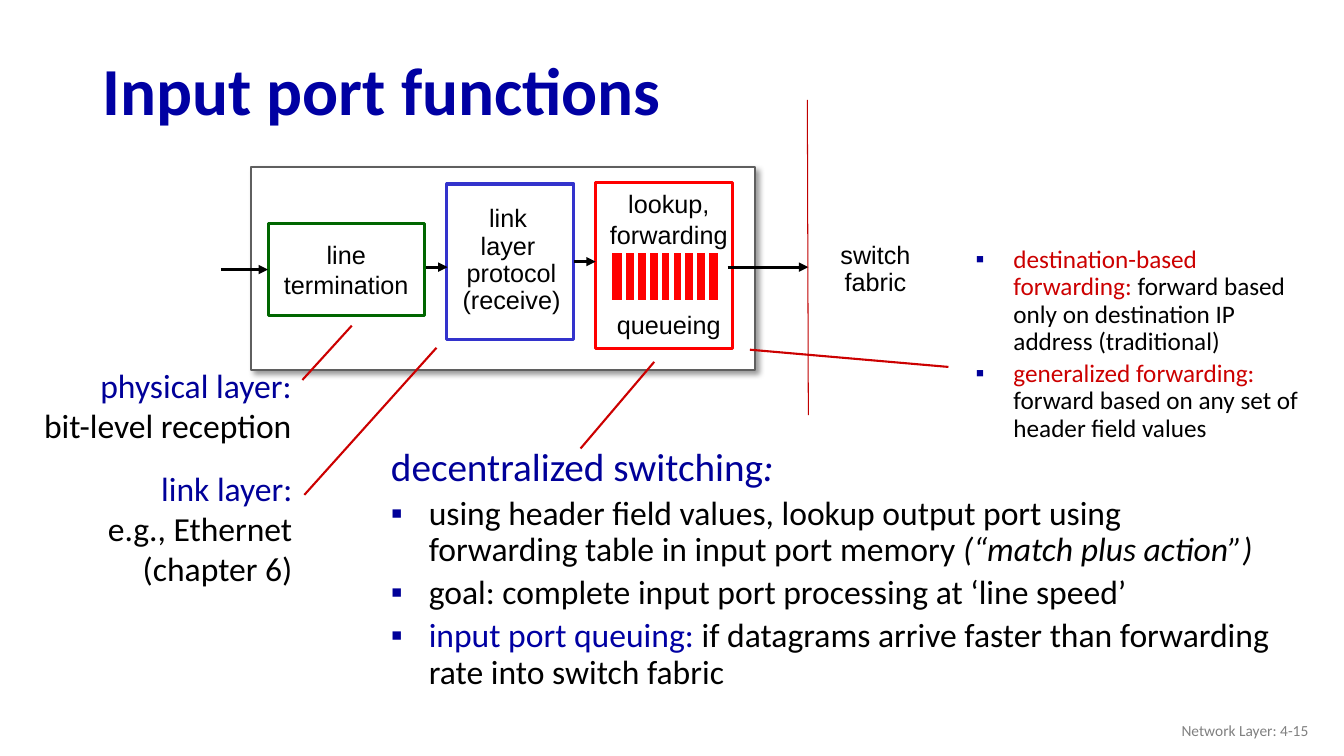
import pptx
import pptx.util
import pptx.dml.color
import pptx.enum.shapes
import pptx.enum.text
import pptx.oxml.ns
from lxml import etree

Pt = pptx.util.Pt
RGBColor = pptx.dml.color.RGBColor
Align = pptx.enum.text.PP_ALIGN
Anchor = pptx.enum.text.MSO_ANCHOR
qn = pptx.oxml.ns.qn

BLACK = RGBColor(0x00, 0x00, 0x00)
WHITE = RGBColor(0xFF, 0xFF, 0xFF)
GREY = RGBColor(0x80, 0x80, 0x80)
FRAME_GREY = RGBColor(0x5F, 0x5F, 0x5F)
TITLE_BLUE = RGBColor(0x00, 0x00, 0xA3)
NAVY = RGBColor(0x00, 0x00, 0x99)
LINK_BLUE = RGBColor(0x33, 0x33, 0xCC)
GREEN = RGBColor(0x00, 0x66, 0x00)
RED = RGBColor(0xFF, 0x00, 0x00)
CRIMSON = RGBColor(0xCC, 0x00, 0x00)
DIVIDER_RED = RGBColor(0xC0, 0x00, 0x00)

# Content: a paragraph is a list of (text, colour, italic) runs
TITLE = [[("Input port functions", TITLE_BLUE, False)]]
FOOTER = [[("Network Layer: 4-15", GREY, False)]]
PHYSICAL = [[("physical layer:", NAVY, False)], [("bit-level reception", BLACK, False)]]
LINK = [[("link layer:", NAVY, False)], [("e.g., Ethernet", BLACK, False)],
        [("(chapter 6)", BLACK, False)]]
SWITCHING_HEAD = [("decentralized switching", NAVY, False), (":", NAVY, True)]
SWITCHING = [
    [("using header field values, lookup output port using forwarding table in "
      "input port memory ", BLACK, False), ("(“match plus action”)", BLACK, True)],
    [("goal: complete input port processing at ‘line speed’", BLACK, False)],
    [("input port queuing: ", TITLE_BLUE, False),
     ("if datagrams arrive faster than forwarding rate into switch fabric", BLACK, False)],
]
FORWARDING = [
    [("destination-based forwarding: ", CRIMSON, False),
     ("forward based only on destination IP address (traditional)", BLACK, False)],
    [("generalized forwarding: ", CRIMSON, False),
     ("forward based on any set of header field values", BLACK, False)],
]
# Diagram labels: lines, left, top, width, height, line spacing, anchor
LABELS = [
    (["switch", "fabric"], 583.9, 159.8, 82.8, 65.5, 0.9, Anchor.MIDDLE),
    (["line", "termination"], 191.5, 159.8, 111.6, 65.5, 1.0, Anchor.MIDDLE),
    (["link ", "layer ", "protocol", "(receive)"], 310.4, 143.4, 110, 85.5, 0.9,
     Anchor.MIDDLE),
    (["lookup,", "forwarding"], 423.4, 129.6, 108.6, 51, 1.05, Anchor.TOP),
    (["queueing"], 428.4, 217.4, 98.6, 29, 1.0, Anchor.TOP),
]
# Leader lines from notes to the diagram: x1, y1, x2, y2
LEADERS = [(216, 271.4, 251.3, 232.6), (217.4, 353.5, 311.8, 248.4),
           (414.7, 320.4, 467.3, 258.5), (535.7, 249.8, 677.5, 262.1)]
QUEUE_LEFT, QUEUE_TOP, QUEUE_WIDTH, QUEUE_HEIGHT = 435.6, 179.3, 78.5, 36.7
SLOT_COUNT, FIRST_GAP, SLOT_STEP = 9, 10.4, 8.4

deck = pptx.Presentation()
deck.slide_width, deck.slide_height = Pt(960), Pt(540)
page = deck.slides.add_slide(deck.slide_layouts[6])


def add_box(left, top, width, height, line_color, line_width, fill=None):
    box = page.shapes.add_shape(pptx.enum.shapes.MSO_SHAPE.RECTANGLE,
                                Pt(left), Pt(top), Pt(width), Pt(height))
    box.shadow.inherit = False
    if fill is None:
        box.fill.background()
    else:
        box.fill.solid()
        box.fill.fore_color.rgb = fill
    box.line.color.rgb = line_color
    box.line.width = Pt(line_width)
    return box


def add_line(x1, y1, x2, y2, color, width, arrow=False):
    line = page.shapes.add_connector(pptx.enum.shapes.MSO_CONNECTOR.STRAIGHT,
                                     Pt(x1), Pt(y1), Pt(x2), Pt(y2))
    line.line.color.rgb = color
    line.line.width = Pt(width)
    if arrow:
        etree.SubElement(line.line._get_or_add_ln(), qn("a:tailEnd"), type="triangle")
    etree.SubElement(line._element.spPr, qn("a:effectLst"))
    return line


def add_arrow(x1, x2, y):
    return add_line(x1, y, x2, y, BLACK, 2.25, arrow=True)


def add_text(left, top, width, height, wrap=True, anchor=Anchor.TOP):
    box = page.shapes.add_textbox(Pt(left), Pt(top), Pt(width), Pt(height))
    box.text_frame.word_wrap = wrap
    box.text_frame.vertical_anchor = anchor
    return box.text_frame


def write(frame, paragraphs, size, font="Calibri", align=Align.LEFT, spacing=1.0,
          bold=False, bullet=False):
    for runs in paragraphs:
        first = not frame.paragraphs[0].runs
        para = frame.paragraphs[0] if first else frame.add_paragraph()
        if bullet:
            props = para._p.get_or_add_pPr()
            props.set("marL", str(Pt(27)))
            props.set("indent", str(-Pt(27)))
            color = etree.SubElement(props, qn("a:buClr"))
            etree.SubElement(color, qn("a:srgbClr"), val=str(NAVY))
            etree.SubElement(props, qn("a:buFont"), typeface="Arial")
            etree.SubElement(props, qn("a:buChar"), char="▪")
            if not first:
                para.space_before = Pt(size * 0.2)
        para.alignment = align
        para.line_spacing = spacing
        for text, color, italic in runs:
            span = para.add_run()
            span.text = text
            span.font.name = font
            span.font.size = Pt(size)
            span.font.bold = bold
            span.font.italic = italic
            span.font.color.rgb = color


# Title
write(add_text(66.2, 31.7, 828, 70.6, anchor=Anchor.MIDDLE), TITLE, 48,
      spacing=0.9, bold=True)

# Port frame with its drop shadow
port = add_box(179.3, 119.5, 360, 144.7, FRAME_GREY, 1.5, WHITE)
effects = port._element.spPr.find(qn("a:effectLst"))
shadow = etree.SubElement(effects, qn("a:outerShdw"), blurRad=str(Pt(4)),
                          dist=str(Pt(3)), dir="2700000", algn="tl", rotWithShape="0")
shade = etree.SubElement(shadow, qn("a:srgbClr"), val="000000")
etree.SubElement(shade, qn("a:alpha"), val="40000")

# Stages of the port and the queue
termination_box = add_box(191.5, 159.8, 111.6, 65.5, GREEN, 2.25, WHITE)
link_box = add_box(319.2, 131.4, 90.7, 111, LINK_BLUE, 2.25)
add_box(QUEUE_LEFT, QUEUE_TOP, QUEUE_WIDTH, QUEUE_HEIGHT, WHITE, 3, RED)
for slot in range(SLOT_COUNT - 1):
    x = QUEUE_LEFT + FIRST_GAP + slot * SLOT_STEP
    add_line(x, QUEUE_TOP + 0.7, x, QUEUE_TOP + 36, WHITE, 3)
add_box(425.5, 130.3, 97.9, 118.8, RED, 2.25)

# Arrows and the border of the switch fabric
add_arrow(157.7, 191.5, 192.55).end_connect(termination_box, 1)
add_arrow(304.6, 319.7, 190.8)
add_arrow(409.9, 425.5, 186.9).begin_connect(link_box, 3)
add_arrow(519.8, 577.4, 190.8)
add_line(576.7, 71.3, 577.4, 296.6, DIVIDER_RED, 0.75)

# Diagram labels
for lines, left, top, width, height, spacing, anchor in LABELS:
    write(add_text(left, top, width, height, wrap=False, anchor=anchor),
          [[(text, BLACK, False)] for text in lines], 18, "Arial", Align.CENTER, spacing)

# Notes and leader lines
write(add_text(20.2, 257, 195.1, 65.5, wrap=False), PHYSICAL, 24, align=Align.RIGHT)
write(add_text(68.4, 330.5, 147.6, 94.3, wrap=False), LINK, 24, align=Align.RIGHT)
switching = add_text(272.2, 316.1, 645.1, 210.2)
write(switching, [SWITCHING_HEAD], 28, spacing=0.9)
write(switching, SWITCHING, 24, spacing=0.9, bullet=True)
write(add_text(689.8, 172.8, 246.2, 170.6), FORWARDING, 18, spacing=0.9, bullet=True)
for leader in LEADERS:
    add_line(*leader, CRIMSON, 1.5)

# Footer
write(add_text(725.8, 507.6, 216, 28.8, anchor=Anchor.MIDDLE), FOOTER, 11,
      align=Align.RIGHT)

deck.save("out.pptx")
